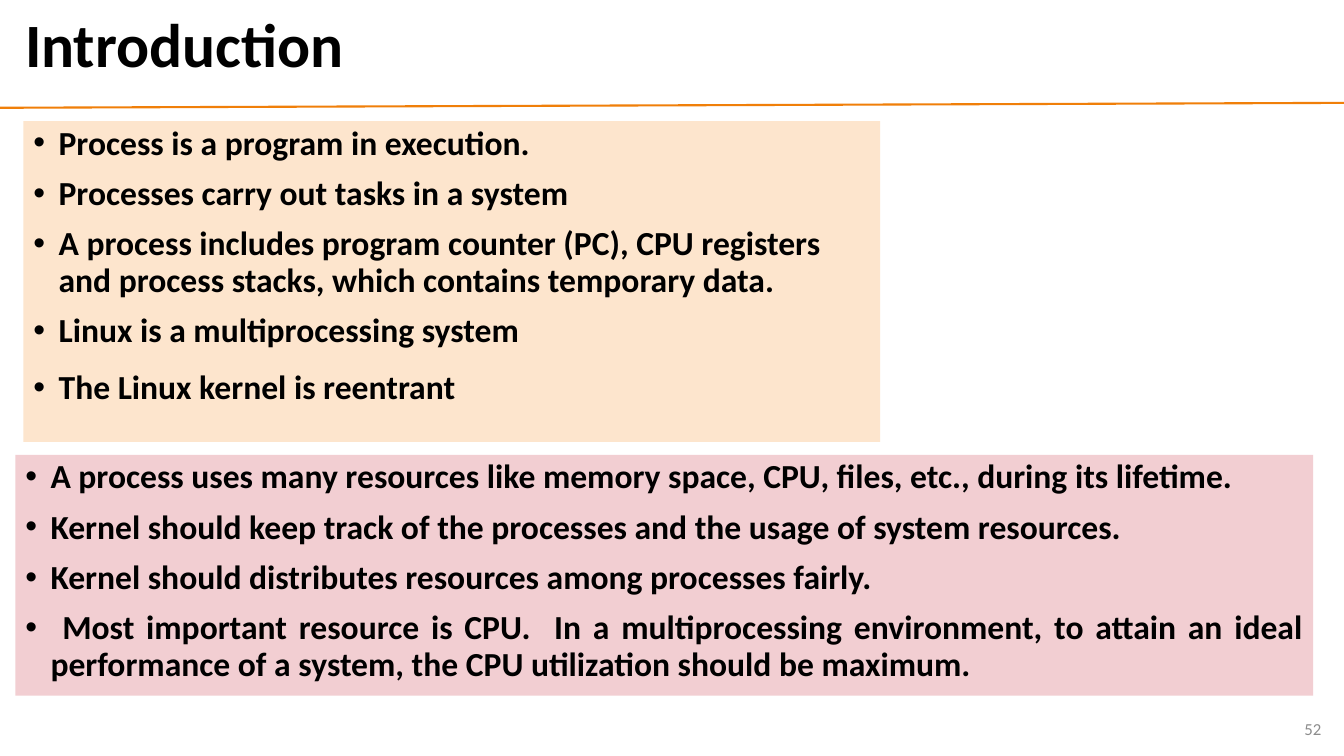
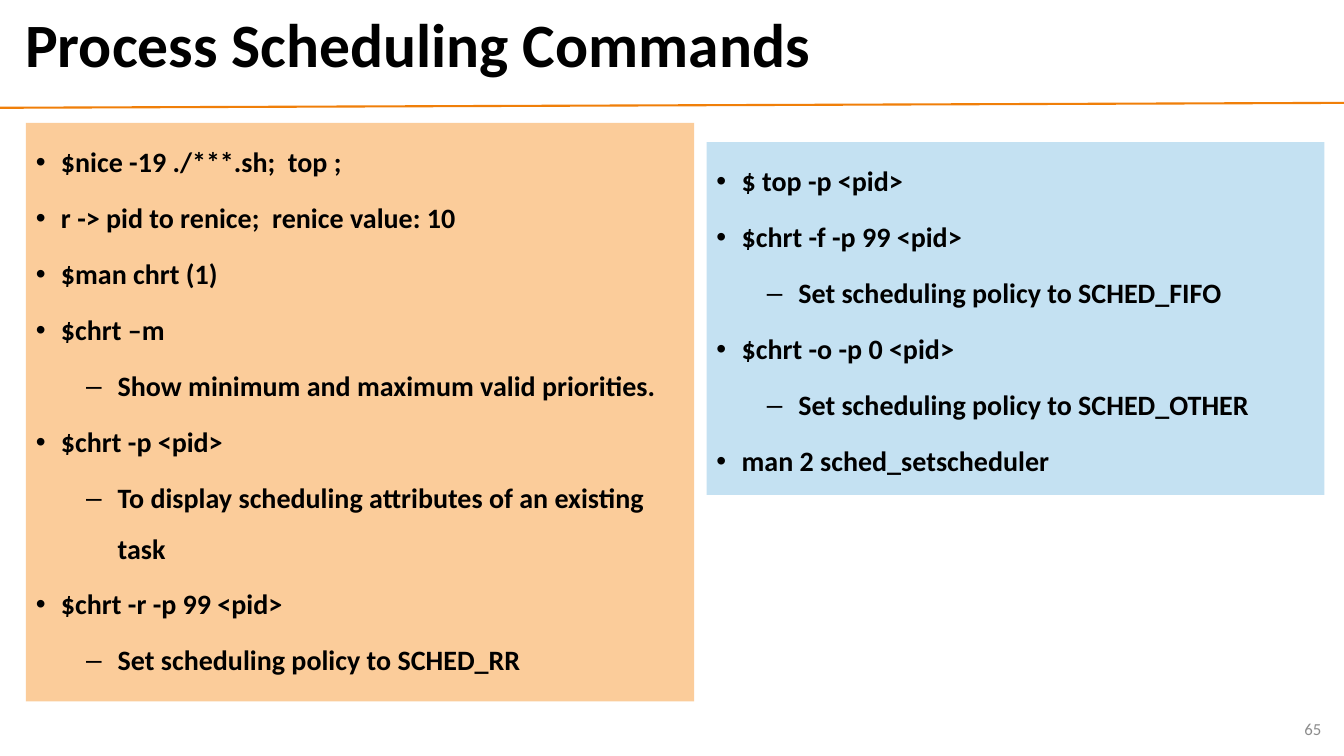
import dataclasses
import lxml.etree
import pptx
import pptx.dml.color
import pptx.enum.shapes
import pptx.enum.text
import pptx.oxml.ns
import pptx.util

Pt = pptx.util.Pt
ALIGN = pptx.enum.text.PP_ALIGN


@dataclasses.dataclass(frozen=True)
class Theme:
    font: str = "Calibri"
    bullet_font: str = "Arial"
    ink: str = "000000"
    muted: str = "8C8C8C"
    rule: str = "F07F09"
    cream: str = "FDE5CD"
    rose: str = "F2CED2"
    orange: str = "FBCC9A"
    sky: str = "C4E1F2"
    title_size: int = 44
    body_size: int = 24
    command_size: int = 20
    number_size: int = 12


@dataclasses.dataclass(frozen=True)
class ListStyle:
    size: int
    line_spacing: float
    gap: int
    align: ALIGN = ALIGN.LEFT


THEME = Theme()
WIDTH, HEIGHT = 960, 540
FACTS = ListStyle(THEME.body_size, 0.9, 10)
RESOURCES = ListStyle(THEME.body_size, 0.9, 10, ALIGN.JUSTIFY)
COMMANDS = ListStyle(THEME.command_size, 1.5, 4)
LEVELS = (("•", 18, 18), ("–", 58.5, 22.5))


def rgb(color):
    return pptx.dml.color.RGBColor.from_string(color)


def set_font(paragraph, size, color, bold):
    font = paragraph.font
    font.name, font.size, font.bold = THEME.font, Pt(size), bold
    font.color.rgb = rgb(color)


def add_bullet(paragraph, level):
    mark, margin, hanging = LEVELS[level]
    properties = paragraph._p.get_or_add_pPr()
    properties.set("marL", str(Pt(margin)))
    properties.set("indent", str(-Pt(hanging)))
    for tag, name, value in (("a:buFont", "typeface", THEME.bullet_font),
                             ("a:buChar", "char", mark)):
        lxml.etree.SubElement(properties, pptx.oxml.ns.qn(tag)).set(name, value)


def add_label(slide, box, text, size, color, bold=False, align=ALIGN.LEFT):
    frame = slide.shapes.add_textbox(*map(Pt, box)).text_frame
    frame.word_wrap = True
    frame.vertical_anchor = pptx.enum.text.MSO_ANCHOR.MIDDLE
    paragraph = frame.paragraphs[0]
    paragraph.text = text
    paragraph.alignment = align
    paragraph.line_spacing = 0.9 if bold else 1.0
    set_font(paragraph, size, color, bold)


def add_rule(slide):
    rule = slide.shapes.add_connector(
        pptx.enum.shapes.MSO_CONNECTOR.STRAIGHT, Pt(0), Pt(77), Pt(WIDTH), Pt(73.5))
    rule.line.color.rgb = rgb(THEME.rule)
    rule.line.width = Pt(1.5)
    lxml.etree.SubElement(rule._element.spPr, pptx.oxml.ns.qn("a:effectLst"))


def add_panel(slide, box, fill, style, items):
    panel = slide.shapes.add_shape(
        pptx.enum.shapes.MSO_SHAPE.RECTANGLE, *map(Pt, box))
    panel.shadow.inherit = False
    panel.fill.solid()
    panel.fill.fore_color.rgb = rgb(fill)
    panel.line.fill.background()
    frame = panel.text_frame
    frame.word_wrap = True
    frame.vertical_anchor = pptx.enum.text.MSO_ANCHOR.TOP
    for index, (level, text) in enumerate(items):
        paragraph = frame.add_paragraph() if index else frame.paragraphs[0]
        paragraph.text = text
        paragraph.level = level
        paragraph.alignment = style.align
        paragraph.line_spacing = style.line_spacing
        if index:
            paragraph.space_before = Pt(style.gap)
        add_bullet(paragraph, level)
        set_font(paragraph, style.size, THEME.ink, True)
    return frame


def add_topic_slide(deck, title, number):
    slide = deck.slides.add_slide(deck.slide_layouts[6])
    add_rule(slide)
    add_label(slide, (10.8, 3.6, 928, 60), title, THEME.title_size, THEME.ink, True)
    add_label(slide, (735, 506, 216, 29), number, THEME.number_size, THEME.muted,
              align=ALIGN.RIGHT)
    return slide


def build_introduction(deck):
    slide = add_topic_slide(deck, "Introduction", "52")
    facts = add_panel(slide, (16.8, 86.6, 612, 229), THEME.cream, FACTS, (
        (0, "Process is a program in execution."),
        (0, "Processes carry out tasks in a system"),
        (0, "A process includes program counter (PC), CPU registers and process "
            "stacks, which contains temporary data."),
        (0, "Linux is a multiprocessing system"),
        (0, "The Linux kernel is reentrant"),
    ))
    facts.paragraphs[-1].space_before = Pt(15)
    add_panel(slide, (11, 325, 927, 172), THEME.rose, RESOURCES, (
        (0, "A process uses many resources like memory space, CPU, files, etc., "
            "during its lifetime."),
        (0, "Kernel should keep track of the processes and the usage of system "
            "resources."),
        (0, "Kernel should distributes resources among processes fairly."),
        (0, " Most important resource is CPU.  In a multiprocessing environment, "
            "to attain an ideal performance of a system, the CPU utilization "
            "should be maximum."),
    ))


def build_commands(deck):
    slide = add_topic_slide(deck, "Process Scheduling Commands", "65")
    add_panel(slide, (18.5, 87.8, 477.4, 413.3), THEME.orange, COMMANDS, (
        (0, "$nice -19 ./***.sh;  top ;"),
        (0, "r -> pid to renice;  renice value: 10"),
        (0, "$man chrt (1)"),
        (0, "$chrt –m"),
        (1, "Show minimum and maximum valid priorities."),
        (0, "$chrt -p <pid>"),
        (1, "To display scheduling attributes of an existing task"),
        (0, "$chrt -r -p 99 <pid>"),
        (1, "Set scheduling policy to SCHED_RR"),
    ))
    add_panel(slide, (504.7, 101.5, 441.3, 252), THEME.sky, COMMANDS, (
        (0, "$ top -p <pid>"),
        (0, "$chrt -f -p 99 <pid>"),
        (1, "Set scheduling policy to SCHED_FIFO"),
        (0, "$chrt -o -p 0 <pid>"),
        (1, "Set scheduling policy to SCHED_OTHER"),
        (0, "man 2 sched_setscheduler"),
    ))


def main():
    deck = pptx.Presentation()
    deck.slide_width, deck.slide_height = Pt(WIDTH), Pt(HEIGHT)
    build_introduction(deck)
    build_commands(deck)
    deck.save("out.pptx")


if __name__ == "__main__":
    main()
